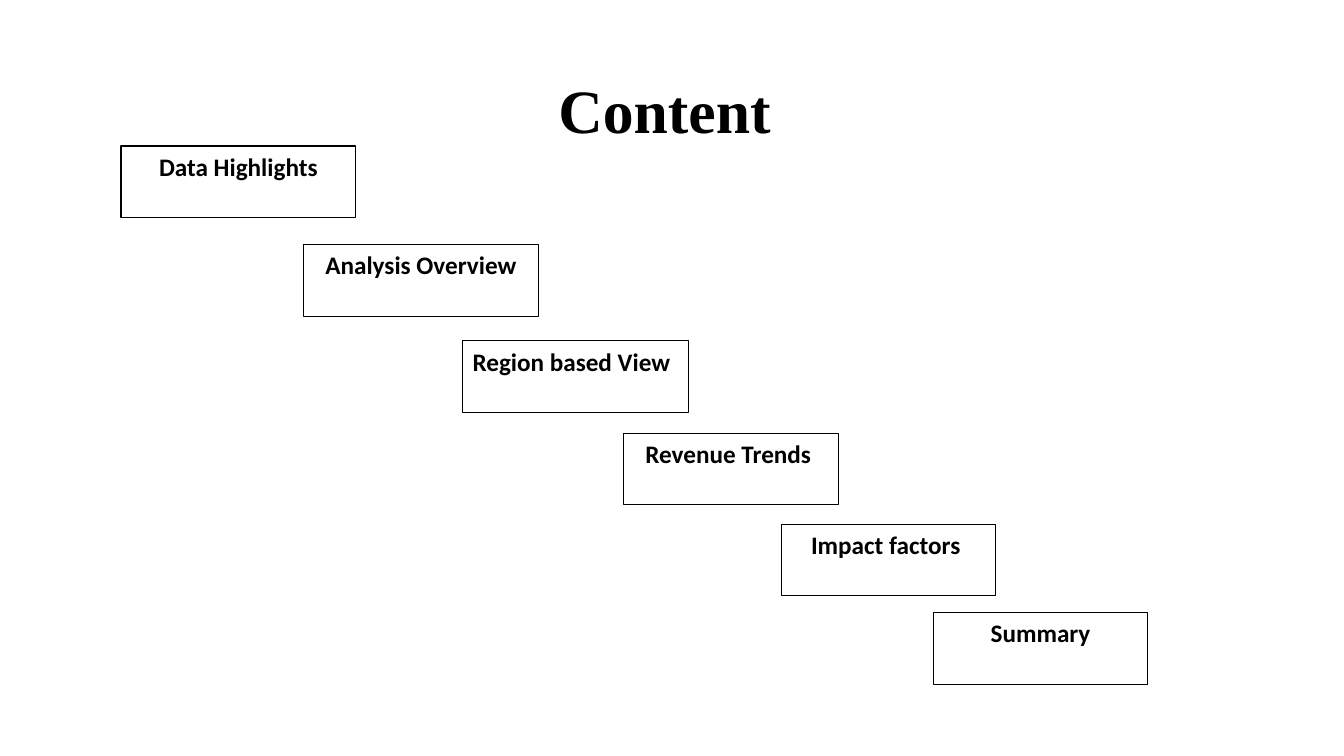
from dataclasses import dataclass

from pptx import Presentation
from pptx.dml.color import RGBColor
from pptx.enum.shapes import MSO_SHAPE
from pptx.enum.text import MSO_ANCHOR, PP_ALIGN
from pptx.util import Cm, Pt

TITLE = "Content "
TITLE_BOX = (2.34, 1.02, 29.21, 3.68)

# Text, left, top, width (cm), alignment
AGENDA_STEPS = [
    ("Data Highlights", 3.05, 3.68, 5.92, PP_ALIGN.CENTER),
    ("Analysis Overview", 7.65, 6.17, 5.92, PP_ALIGN.CENTER),
    ("Region based View", 11.66, 8.59, 5.69, PP_ALIGN.LEFT),
    ("Revenue Trends ", 15.72, 10.92, 5.41, PP_ALIGN.CENTER),
    ("Impact factors ", 19.69, 13.21, 5.41, PP_ALIGN.CENTER),
    ("Summary", 23.52, 15.44, 5.41, PP_ALIGN.CENTER),
]
STEP_HEIGHT = 1.8


@dataclass(frozen=True)
class Theme:
    ink: RGBColor = RGBColor(0x00, 0x00, 0x00)
    title_font: str = "Times New Roman"
    step_font: str = "Calibri"
    title_size: Pt = Pt(44)
    step_size: Pt = Pt(18)
    outline: Pt = Pt(0.75)


THEME = Theme()


def write_text(shape, text, font_name, size, alignment, anchor):
    frame = shape.text_frame
    frame.word_wrap = True
    frame.vertical_anchor = anchor
    paragraph = frame.paragraphs[0]
    paragraph.text = text
    paragraph.alignment = alignment
    paragraph.font.name = font_name
    paragraph.font.size = size
    paragraph.font.bold = True
    paragraph.font.color.rgb = THEME.ink
    return paragraph


def add_title(slide):
    shape = slide.shapes.add_textbox(*map(Cm, TITLE_BOX))
    paragraph = write_text(shape, TITLE, THEME.title_font, THEME.title_size,
                           PP_ALIGN.CENTER, MSO_ANCHOR.MIDDLE)
    paragraph.line_spacing = 0.9


def add_step(slide, text, left, top, width, alignment):
    shape = slide.shapes.add_shape(
        MSO_SHAPE.RECTANGLE, Cm(left), Cm(top), Cm(width), Cm(STEP_HEIGHT))
    shape.shadow.inherit = False
    shape.fill.background()
    shape.line.color.rgb = THEME.ink
    shape.line.width = THEME.outline
    write_text(shape, text, THEME.step_font, THEME.step_size,
               alignment, MSO_ANCHOR.TOP)


def main():
    presentation = Presentation()
    presentation.slide_width = Cm(33.87)
    presentation.slide_height = Cm(19.05)
    slide = presentation.slides.add_slide(presentation.slide_layouts[6])
    add_title(slide)
    for step in AGENDA_STEPS:
        add_step(slide, *step)
    presentation.save("out.pptx")


if __name__ == "__main__":
    main()
